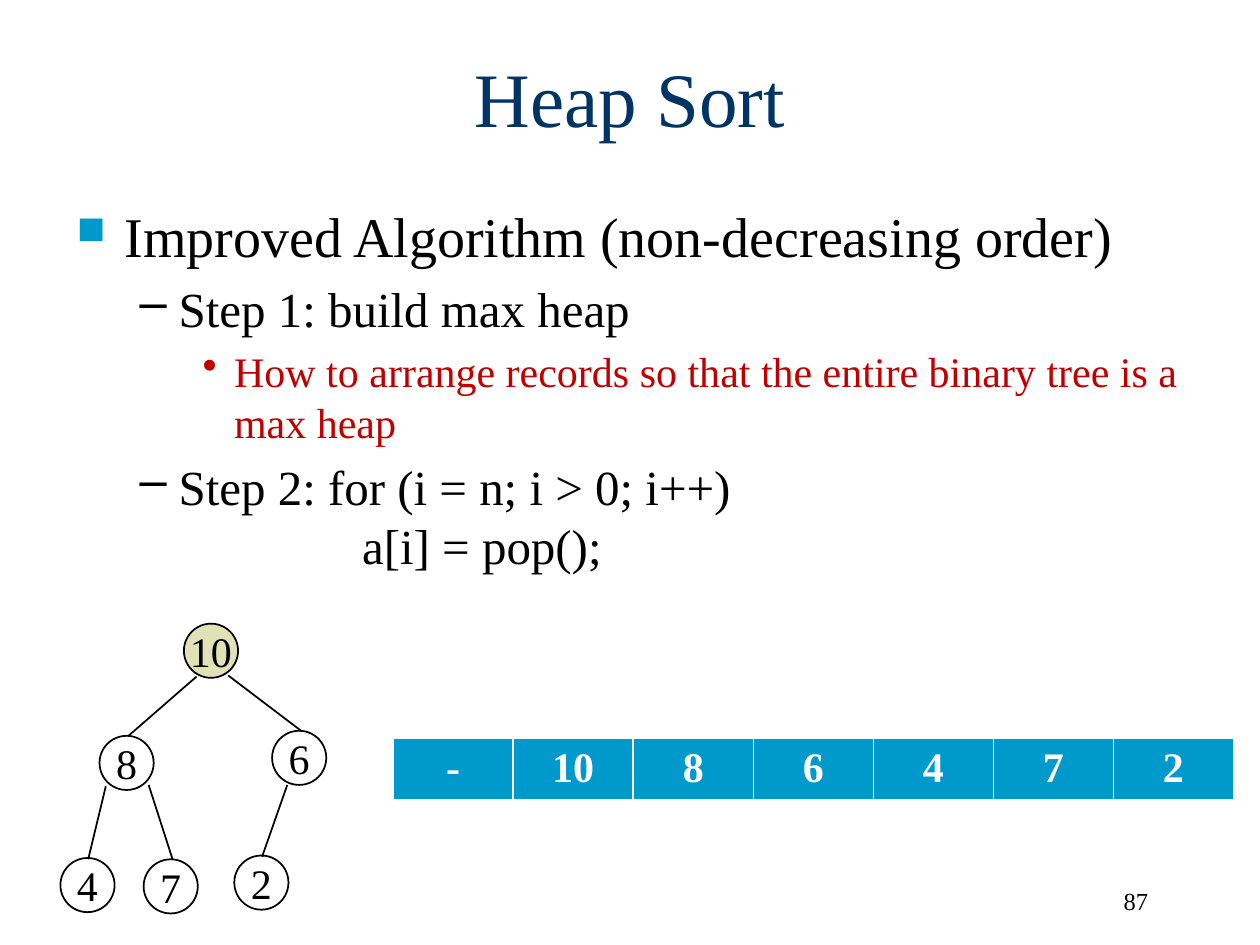
import pptx
import pptx.dml.color
import pptx.enum.shapes
import pptx.enum.text
import pptx.oxml
import pptx.oxml.ns
import pptx.util
from pptx.util import Inches

COLORS = {"title": "003366", "text": "000000", "accent": "0099CC",
          "warn": "C00000", "root": "E1E1B7", "white": "FFFFFF"}
FONT = "Times New Roman"
ALIGN = pptx.enum.text.PP_ALIGN
MIDDLE = pptx.enum.text.MSO_ANCHOR.MIDDLE
LEVELS = [
    {"left": 0.38, "hang": 0.38, "size": 32, "char": "■"},
    {"left": 0.81, "hang": 0.31, "size": 28, "char": "–"},
    {"left": 1.25, "hang": 0.25, "size": 24, "char": "•"},
]
BODY = [
    (0, "Improved Algorithm (non-decreasing order)", "text"),
    (1, "Step 1: build max heap", "text"),
    (2, "How to arrange records so that the entire binary tree is a max heap", "warn"),
    (1, "Step 2: for (i = n; i > 0; i++)\v               a[i] = pop();", "text"),
]
NODES = [("10", 0.98, 0), ("8", 0.31, 0.89), ("6", 1.68, 0.85),
         ("4", 0, 1.86), ("7", 0.66, 1.87), ("2", 1.38, 1.84)]
EDGES = [(1.08, 0.42, 0.54, 0.89), (1.33, 0.41, 1.91, 0.85),
         (0.36, 1.29, 0.22, 1.87), (0.7, 1.28, 0.89, 1.87),
         (1.8, 1.28, 1.6, 1.85)]
KEYS = ["-", "10", "8", "6", "4", "7", "2"]


def rgb(name):
    """Return the named colour."""
    return pptx.dml.color.RGBColor.from_string(COLORS[name])


def add_xml(parent, xml):
    """Append an element in the drawing namespace."""
    ns = pptx.oxml.ns.nsdecls("a")
    parent.append(pptx.oxml.parse_xml(xml.replace(">", f" {ns}>", 1)))


def set_font(font, size, color="text", **extra):
    """Apply the deck font with a size and colour."""
    values = {"name": FONT, "size": pptx.util.Pt(size), **extra}
    for key, value in values.items():
        setattr(font, key, value)
    font.color.rgb = rgb(color)


def write(p, text, size, color="text", align=ALIGN.LEFT, **extra):
    """Fill a paragraph with formatted text."""
    p.text = text
    p.alignment = align
    for r in p.runs:
        set_font(r.font, size, color, **extra)


def add_box(s, x, y, w, h):
    """Add a wrapping text box and return its frame."""
    tf = s.shapes.add_textbox(Inches(x), Inches(y), Inches(w), Inches(h)).text_frame
    tf.word_wrap = True
    return tf


def add_title(s, x, y, w, h):
    """Place the centred slide title."""
    tf = add_box(s, x, y, w, h)
    tf.vertical_anchor = MIDDLE
    write(tf.paragraphs[0], "Heap Sort", 44, "title", ALIGN.CENTER)


def add_body(s, x, y, w, h):
    """Place the bulleted outline."""
    tf = add_box(s, x, y, w, h)
    for i, (depth, text, color) in enumerate(BODY):
        level = LEVELS[depth]
        p = tf.add_paragraph() if i else tf.paragraphs[0]
        p.level = depth
        pPr = p._p.get_or_add_pPr()
        pPr.set("marL", str(Inches(level["left"])))
        pPr.set("indent", str(-Inches(level["hang"])))
        if depth == 0:
            add_xml(pPr, f'<a:buClr><a:srgbClr val="{COLORS["accent"]}"/></a:buClr>')
            add_xml(pPr, '<a:buSzPct val="70000"></a:buSzPct>')
        add_xml(pPr, f'<a:buChar char="{level["char"]}"></a:buChar>')
        if i:
            p.space_before = pptx.util.Pt(0.2 * level["size"])
        write(p, text, level["size"], color)
        set_font(p.font, level["size"], color)


def add_tree(s, x, y, d):
    """Draw the heap as circles of diameter d joined by lines."""
    for text, dx, dy in NODES:
        sp = s.shapes.add_shape(pptx.enum.shapes.MSO_SHAPE.OVAL, Inches(x + dx),
                                Inches(y + dy), Inches(d), Inches(d))
        sp.shadow.inherit = False
        if dy == 0:
            sp.fill.solid()
            sp.fill.fore_color.rgb = rgb("root")
        else:
            sp.fill.background()
        sp.line.color.rgb = rgb("text")
        sp.line.width = pptx.util.Pt(1)
        tf = sp.text_frame
        tf.word_wrap = False
        tf.vertical_anchor = MIDDLE
        write(tf.paragraphs[0], text, 24, align=ALIGN.CENTER)
    for x1, y1, x2, y2 in EDGES:
        line = s.shapes.add_connector(
            pptx.enum.shapes.MSO_CONNECTOR.STRAIGHT, Inches(x + x1),
            Inches(y + y1), Inches(x + x2), Inches(y + y2))
        line.line.color.rgb = rgb("text")
        line.line.width = pptx.util.Pt(1)
        add_xml(line._element.spPr, "<a:effectLst></a:effectLst>")


def add_array(s, x, y, w, h):
    """Place the heap array as a one-row table."""
    table = s.shapes.add_table(1, len(KEYS), Inches(x), Inches(y),
                               Inches(w), Inches(h)).table
    for i, key in enumerate(KEYS):
        table.columns[i].width = Inches(w / len(KEYS))
        cell = table.cell(0, i)
        for side, width in {"L": 1, "R": 1, "T": 1, "B": 3}.items():
            add_xml(cell._tc.get_or_add_tcPr(),
                    f'<a:ln{side} w="{pptx.util.Pt(width)}"><a:solidFill>'
                    f'<a:srgbClr val="{COLORS["white"]}"/></a:solidFill></a:ln{side}>')
        cell.fill.solid()
        cell.fill.fore_color.rgb = rgb("accent")
        write(cell.text_frame.paragraphs[0], key, 24, "white", ALIGN.CENTER, bold=True)


def add_number(s, x, y, w, h):
    """Place the slide number."""
    write(add_box(s, x, y, w, h).paragraphs[0], "87", 14, align=ALIGN.RIGHT)


def main():
    """Build and save the slide."""
    prs = pptx.Presentation()
    prs.slide_width, prs.slide_height = Inches(10), Inches(7.5)
    s = prs.slides.add_slide(prs.slide_layouts[6])
    add_number(s, 7.13, 6.98, 2.08, 0.5)
    add_title(s, 0.75, 0.14, 8.5, 1.25)
    add_body(s, 0.51, 1.55, 8.97, 4.02)
    add_tree(s, 0.48, 4.95, 0.43)
    add_array(s, 3.12, 5.86, 6.67, 0.41)
    prs.save("out.pptx")


if __name__ == "__main__":
    main()
